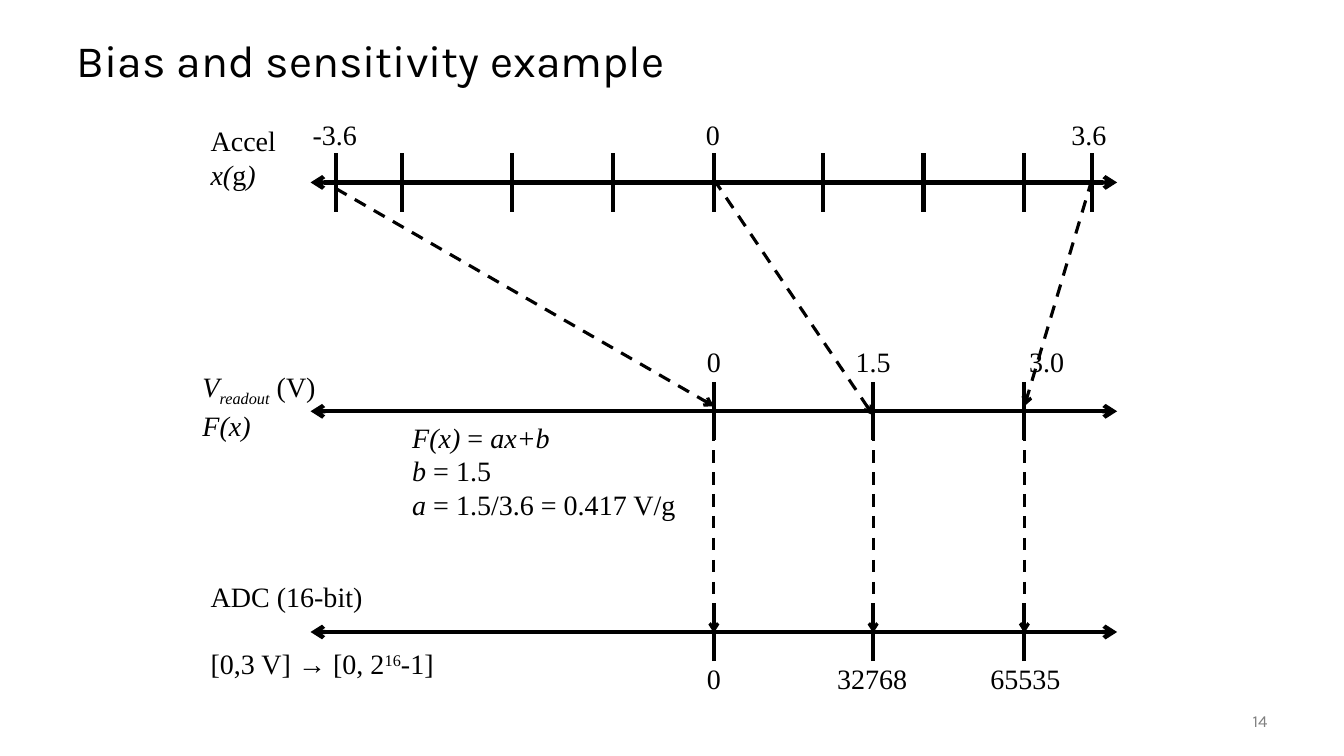
import pptx
import pptx.util
import pptx.dml.color
import pptx.enum.dml
import pptx.enum.shapes
import pptx.enum.text
import pptx.oxml
import pptx.oxml.ns

Inches = pptx.util.Inches
Pt = pptx.util.Pt
ALIGN = pptx.enum.text.PP_ALIGN
ANCHOR = pptx.enum.text.MSO_ANCHOR

BLACK = pptx.dml.color.RGBColor(0x00, 0x00, 0x00)
GRAY = pptx.dml.color.RGBColor(0x80, 0x80, 0x80)
HEADING_FONT = "Karla"
DIAGRAM_FONT = "Times New Roman"

TITLE = "Bias and sensitivity example"
PAGE_NUMBER = "14"

AXIS_LEFT, AXIS_RIGHT = 3.08, 11.08
ACCEL_Y, READOUT_Y, ADC_Y = 1.81, 4.08, 6.27
TICK_HALF = 0.29
LOW_X, MIDDLE_X, HIGH_X = 7.08, 8.66, 10.16
MIN_X, MAX_X = 3.33, 10.83

AXES = [
    (ACCEL_Y, [MIN_X, 3.99, 5.08, 6.08, LOW_X, 8.16, 9.16, HIGH_X, MAX_X]),
    (READOUT_Y, [LOW_X, MIDDLE_X, HIGH_X]),
    (ADC_Y, [LOW_X, MIDDLE_X, HIGH_X]),
]
ACCEL_TO_READOUT = [
    ((MIN_X, 1.87), (LOW_X, 4.03)),
    ((LOW_X, 1.78), (MIDDLE_X, 4.12)),
    ((MAX_X, 1.78), (HIGH_X, 4.03)),
]
READOUT_TO_ADC = [((x, 4.03), (x, 6.28)) for x in (LOW_X, MIDDLE_X, HIGH_X)]

VALUE_ROWS = [
    (1.12, [("-3.6", 3.32, 0.65), ("0", 7.07, 0.34), ("3.6", 10.8, 0.55)]),
    (3.37, [("0", LOW_X, 0.34), ("1.5", MIDDLE_X, 0.55), ("3.0", 10.38, 0.55)]),
    (6.51, [("0", LOW_X, 0.34), ("32768", 8.65, 0.9), ("65535", 10.17, 0.9)]),
]

PLAIN, ITALIC, SUBSCRIPT, SUPERSCRIPT = (False, 0), (True, 0), (True, -25000), (False, 30000)
NOTES = [
    ((1.99, 1.18, 0.88, 0.77), 0, [
        [("Accel", PLAIN)],
        [("x(", ITALIC), ("g", PLAIN), (")", ITALIC)],
    ]),
    ((1.91, 3.62, 1.44, 0.77), 0, [
        [("V", ITALIC), ("readout", SUBSCRIPT), (" (V)", PLAIN)],
        [("F(x)", ITALIC)],
    ]),
    ((1.99, 5.7, 2.45, 1.11), 24, [
        [("ADC (16-bit)", PLAIN)],
        [("[0,3 V] → [0, 2", PLAIN), ("16", SUPERSCRIPT), ("-1]", PLAIN)],
    ]),
    ((3.99, 4.12, 2.86, 1.11), 0, [
        [("F(x)", ITALIC), (" = ", PLAIN), ("ax+b", ITALIC)],
        [("b", ITALIC), (" = 1.5", PLAIN)],
        [("a", ITALIC), (" = 1.5/3.6 = 0.417 V/g", PLAIN)],
    ]),
]


def style_font(font, name, size, color):
    font.name = name
    font.size = Pt(size)
    font.color.rgb = color


def add_box(page, left, top, width, height):
    box = page.shapes.add_textbox(*map(Inches, (left, top, width, height)))
    box.text_frame.word_wrap = False
    return box


def add_line(page, start, end, weight, dashed=False, arrowheads=()):
    line = page.shapes.add_connector(
        pptx.enum.shapes.MSO_CONNECTOR.STRAIGHT, *map(Inches, start + end))
    line.line.color.rgb = BLACK
    line.line.width = Pt(weight)
    if dashed:
        line.line.dash_style = pptx.enum.dml.MSO_LINE.DASH
    outline = line.line._get_or_add_ln()
    for arrowhead in arrowheads:
        outline.append(pptx.oxml.parse_xml(
            f'<a:{arrowhead} {pptx.oxml.ns.nsdecls("a")} type="arrow"/>'))
    line._element.spPr.append(
        pptx.oxml.parse_xml(f'<a:effectLst {pptx.oxml.ns.nsdecls("a")}/>'))


def add_title(page):
    title = page.shapes.title
    title.left, title.top, title.width, title.height = map(Inches, (0.66, 0.25, 12, 0.75))
    title.text_frame.text = TITLE
    title.text_frame.vertical_anchor = ANCHOR.MIDDLE
    para = title.text_frame.paragraphs[0]
    para.alignment = ALIGN.LEFT
    para.line_spacing = 0.9
    style_font(para.runs[0].font, HEADING_FONT, 32, BLACK)


def add_page_number(page):
    box = add_box(page, 11.67, 6.95, 1, 0.4)
    box.text_frame.word_wrap = True
    box.text_frame.vertical_anchor = ANCHOR.MIDDLE
    box.text_frame.text = PAGE_NUMBER
    para = box.text_frame.paragraphs[0]
    para.alignment = ALIGN.RIGHT
    style_font(para.runs[0].font, HEADING_FONT, 12, GRAY)


def add_value(page, text, center, top, width):
    box = add_box(page, center - width / 2, top, width, 0.44)
    box.text_frame.text = text
    para = box.text_frame.paragraphs[0]
    para.alignment = ALIGN.CENTER
    style_font(para.runs[0].font, DIAGRAM_FONT, 20, BLACK)


def add_note(page, place, gap, lines):
    frame = add_box(page, *place).text_frame
    for index, pieces in enumerate(lines):
        para = frame.add_paragraph() if index else frame.paragraphs[0]
        if index and gap:
            para.space_before = Pt(gap)
        for text, (italic, baseline) in pieces:
            span = para.add_run()
            span.text = text
            style_font(span.font, DIAGRAM_FONT, 20, BLACK)
            span.font.italic = italic
            if baseline:
                span._r.get_or_add_rPr().set("baseline", str(baseline))


def main():
    deck = pptx.Presentation()
    deck.slide_width, deck.slide_height = Inches(13.33), Inches(7.5)
    page = deck.slides.add_slide(deck.slide_layouts[5])
    add_title(page)
    add_page_number(page)
    for y, ticks in AXES:
        add_line(page, (AXIS_LEFT, y), (AXIS_RIGHT, y), 3, arrowheads=("headEnd", "tailEnd"))
        for x in ticks:
            add_line(page, (x, y + TICK_HALF), (x, y - TICK_HALF), 3)
    for start, end in ACCEL_TO_READOUT + READOUT_TO_ADC:
        add_line(page, start, end, 2.25, dashed=True, arrowheads=("tailEnd",))
    for top, values in VALUE_ROWS:
        for text, center, width in values:
            add_value(page, text, center, top, width)
    for place, gap, lines in NOTES:
        add_note(page, place, gap, lines)
    deck.save("out.pptx")


if __name__ == "__main__":
    main()
